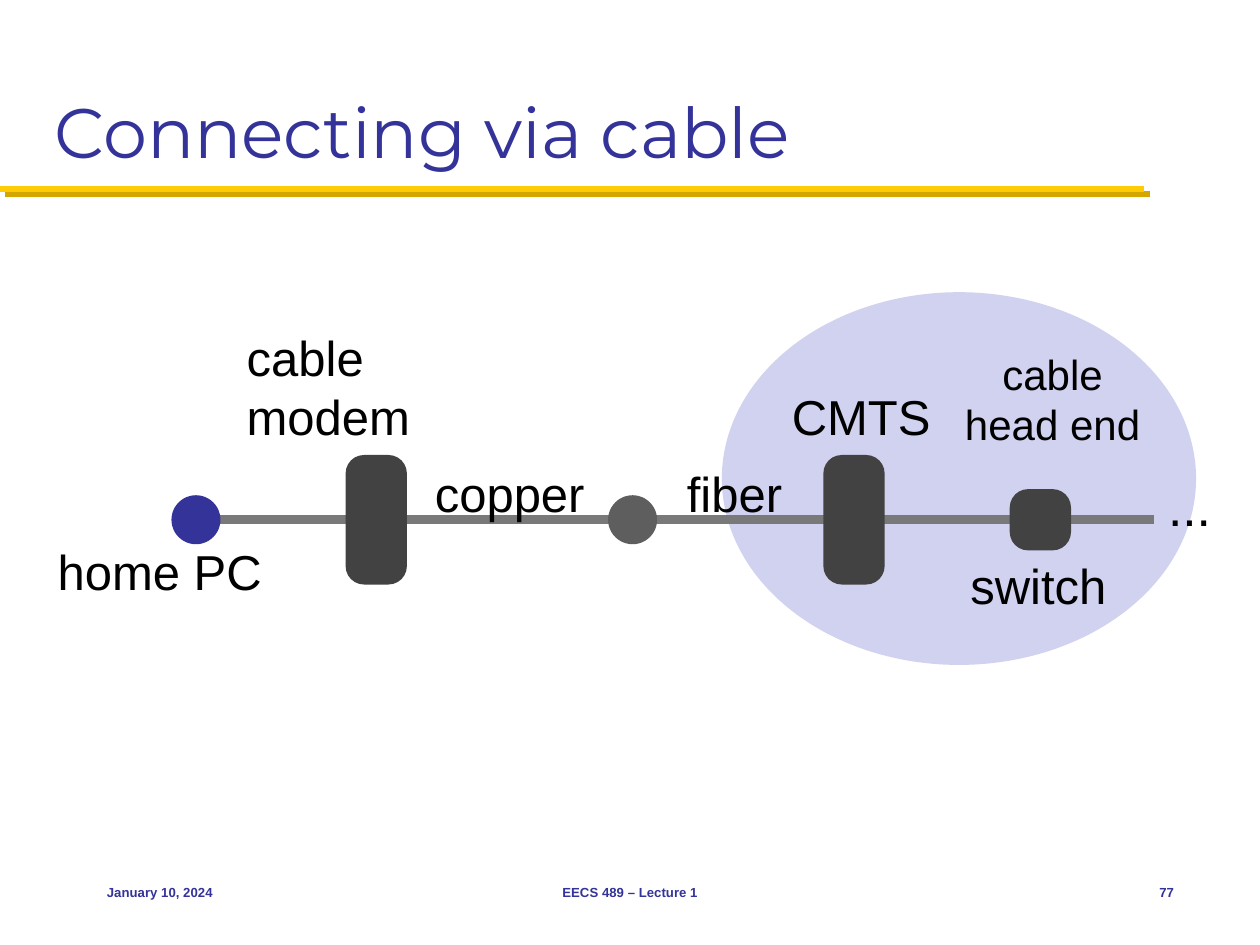
from lxml.etree import SubElement
from pptx import Presentation
from pptx.dml.color import RGBColor
from pptx.enum.shapes import MSO_CONNECTOR, MSO_SHAPE
from pptx.enum.text import MSO_ANCHOR, MSO_AUTO_SIZE, PP_ALIGN
from pptx.oxml.ns import qn
from pptx.util import Pt

INK, GOLD, DARK_GOLD = "333399", "FFCB05", "D3A600"
WIRE, DEVICE, JOINT, CLOUD = "797979", "424242", "5E5E5E", "D1D1F0"
LEFT, CENTER, RIGHT = PP_ALIGN.LEFT, PP_ALIGN.CENTER, PP_ALIGN.RIGHT
AXIS = 130  # height of the cable below the top of the diagram

# shape, centre x, width, height, colour
NODES = [
    (MSO_SHAPE.OVAL, 82, 28, 28, INK),
    (MSO_SHAPE.ROUNDED_RECTANGLE, 185, 35, 74, DEVICE),
    (MSO_SHAPE.OVAL, 331.5, 28, 28, JOINT),
    (MSO_SHAPE.ROUNDED_RECTANGLE, 458, 35, 74, DEVICE),
    (MSO_SHAPE.ROUNDED_RECTANGLE, 564.5, 35, 35, DEVICE),
]
CABLE_END = 629.5

# text, left, top, width, height, size, alignment, wrap
LABELS = [
    ("home PC", 0, 139, 165, 40, 28, LEFT, True),
    ("switch", 521.5, 147, 84, 40, 28, LEFT, False),
    ("cable modem", 108, 17.5, 159, 73, 28, LEFT, True),
    ("CMTS", 419.5, 50.5, 86, 40, 28, LEFT, False),
    ("cable head end", 513.5, 29, 116, 64, 24, CENTER, True),
    ("copper", 215.5, 94.5, 92, 40, 28, LEFT, False),
    ("fiber", 359.5, 94.5, 60.5, 40, 28, LEFT, False),
    ("...", 634.5, 101, 31, 42, 29.5, LEFT, False),
]


def color(hex_text):
    return RGBColor.from_string(hex_text)


def add_line(page, x1, y1, x2, y2, hex_color, width):
    """Draw a straight line and return its empty effect list."""
    line = page.shapes.add_connector(
        MSO_CONNECTOR.STRAIGHT, Pt(x1), Pt(y1), Pt(x2), Pt(y2))
    line.line.color.rgb = color(hex_color)
    line.line.width = Pt(width)
    return SubElement(line._element.spPr, qn("a:effectLst"))


def add_solid(page, kind, left, top, width, height, hex_color):
    shape = page.shapes.add_shape(kind, Pt(left), Pt(top), Pt(width), Pt(height))
    shape.shadow.inherit = False
    shape.fill.solid()
    shape.fill.fore_color.rgb = color(hex_color)
    shape.line.fill.background()
    if kind == MSO_SHAPE.ROUNDED_RECTANGLE:
        shape.adjustments[0] = 0.3


def add_text(page, text, left, top, width, height, size, align,
             wrap=False, hex_color="000000", bold=False):
    """Add a one-paragraph text box and return its frame."""
    box = page.shapes.add_textbox(Pt(left), Pt(top), Pt(width), Pt(height))
    frame = box.text_frame
    frame.text = text
    frame.word_wrap = wrap
    frame.vertical_anchor = MSO_ANCHOR.MIDDLE
    para = frame.paragraphs[0]
    para.alignment = align
    font = para.runs[0].font
    font.name, font.size, font.bold = "Arial", Pt(size), bold
    font.color.rgb = color(hex_color)
    return frame


def add_rule(page, top, width):
    """Gold rule with a hard shadow."""
    effects = add_line(page, 0, top, width, top, GOLD, 3.5)
    shadow = SubElement(effects, qn("a:outerShdw"), dist=str(Pt(4.2)),
                        dir="2700000", algn="ctr", rotWithShape="0")
    SubElement(shadow, qn("a:srgbClr"), val=DARK_GOLD)


def add_title(page, left, top, width, height):
    title = page.shapes.title
    title.left, title.top = Pt(left), Pt(top)
    title.width, title.height = Pt(width), Pt(height)
    frame = title.text_frame
    frame.text = "Connecting via cable"
    frame.vertical_anchor = MSO_ANCHOR.BOTTOM
    para = frame.paragraphs[0]
    para.alignment = LEFT
    font = para.runs[0].font
    font.name, font.size = "Montserrat", Pt(40)
    font.color.rgb = color(INK)


def add_diagram(page, left, top):
    """Cable path from the home PC to the head end."""
    add_solid(page, MSO_SHAPE.OVAL, left + 382.5, top, 271, 213, CLOUD)
    axis = top + AXIS
    stops = [node[1] for node in NODES] + [CABLE_END]
    for start, end in zip(stops, stops[1:]):
        add_line(page, left + start, axis, left + end, axis, WIRE, 5)
    for kind, center, width, height, fill in NODES:
        add_solid(page, kind, left + center - width / 2, axis - height / 2,
                  width, height, fill)
    for text, x, y, *style in LABELS:
        frame = add_text(page, text, left + x, top + y, *style)
        frame.auto_size = MSO_AUTO_SIZE.SHAPE_TO_FIT_TEXT
        frame.margin_left = frame.margin_right = Pt(3)
        frame.margin_top = frame.margin_bottom = Pt(3)


def add_footer(page, top, height):
    for text, left, width, align in [
        ("January 10, 2024", 54, 150, LEFT),
        ("EECS 489 – Lecture 1", 246, 228, CENTER),
        ("77", 630, 48, RIGHT),
    ]:
        add_text(page, text, left, top, width, height, 7.5, align,
                 hex_color=INK, bold=True)


def main():
    deck = Presentation()
    deck.slide_width, deck.slide_height = Pt(720), Pt(540)
    page = deck.slides.add_slide(deck.slide_layouts[5])
    add_rule(page, 108, 654)
    add_diagram(page, 30, 167)
    add_title(page, 24, 12, 672, 90)
    add_footer(page, 492, 36)
    deck.save("out.pptx")


if __name__ == "__main__":
    main()
